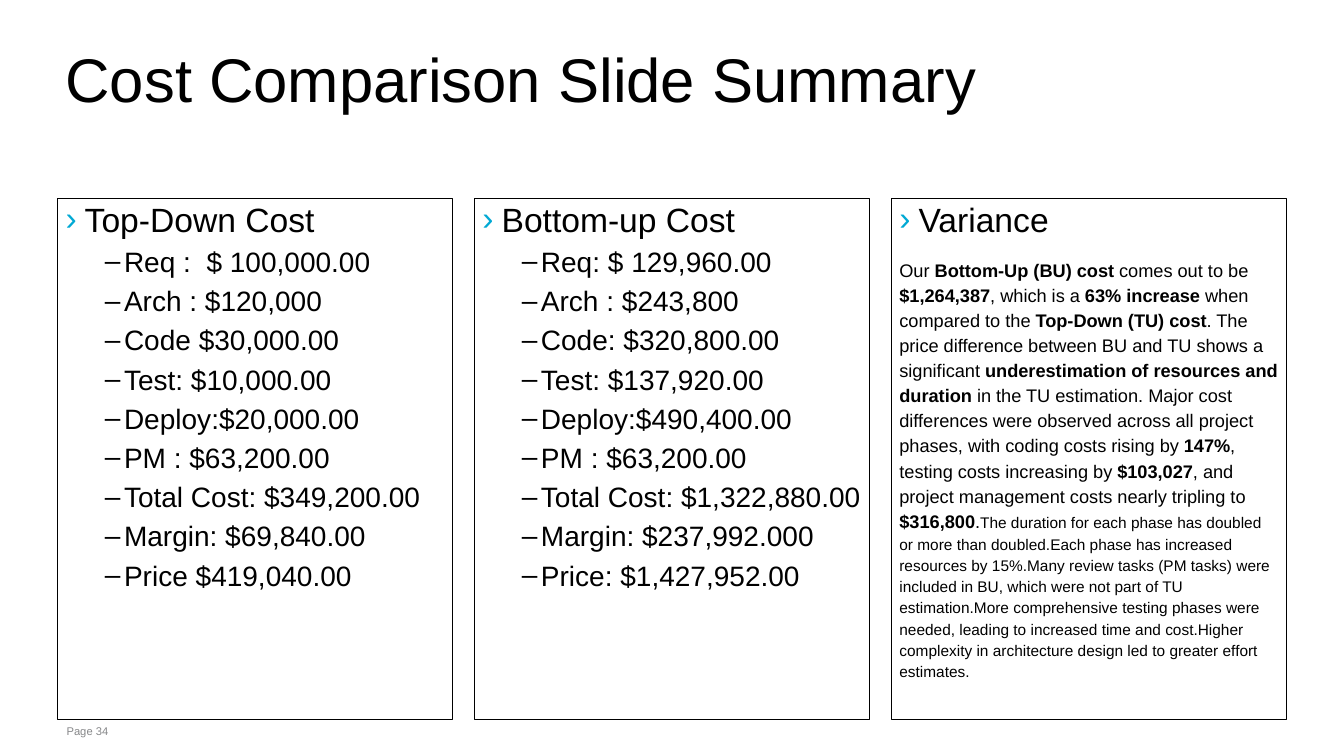
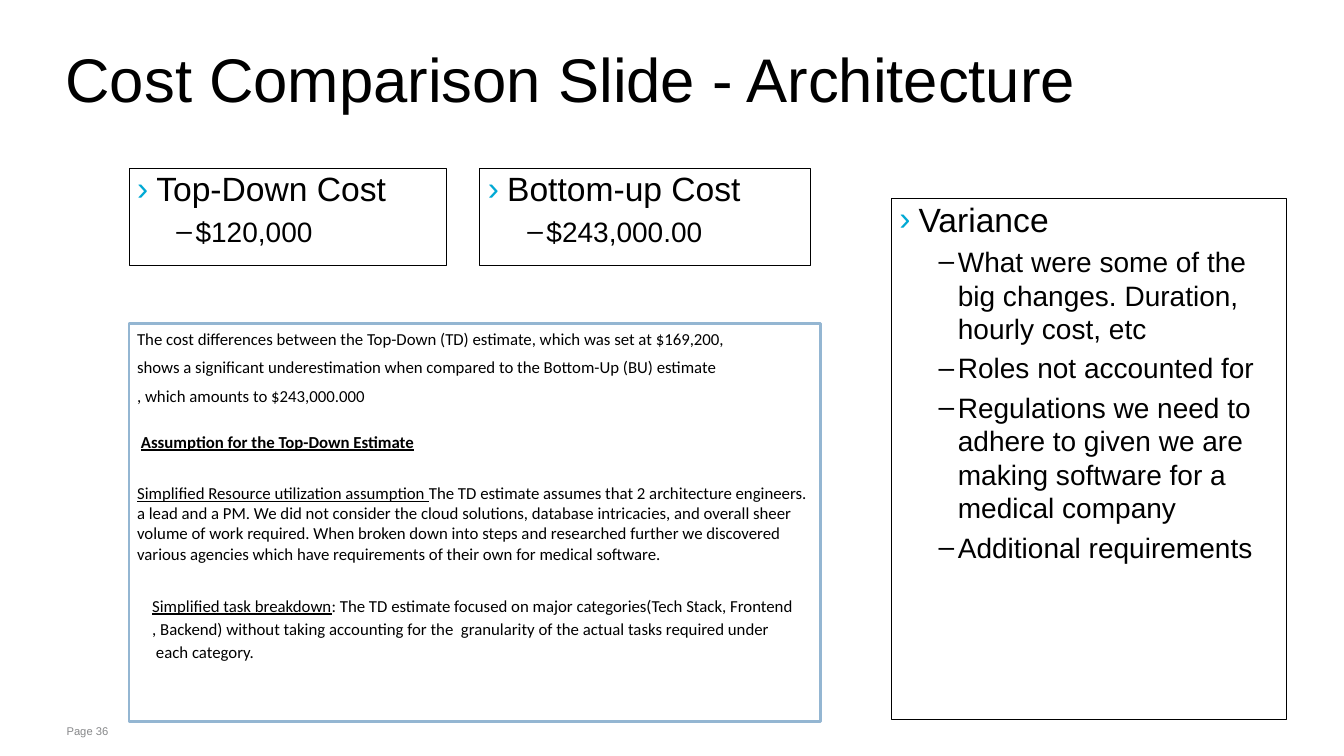
from dataclasses import dataclass
from typing import NamedTuple

from lxml import etree
from pptx import Presentation
from pptx.dml.color import RGBColor
from pptx.enum.shapes import MSO_SHAPE
from pptx.enum.text import MSO_ANCHOR, PP_ALIGN
from pptx.oxml.ns import qn
from pptx.util import Inches, Pt

RECTANGLE = MSO_SHAPE.RECTANGLE
TOP, MIDDLE = MSO_ANCHOR.TOP, MSO_ANCHOR.MIDDLE
LEFT = PP_ALIGN.LEFT


# Theme
@dataclass(frozen=True)
class Theme:
    text: str = "000000"
    accent: str = "00A9D4"
    footer: str = "87888A"
    paper: str = "FFFFFF"
    note_line: str = "94B6D2"
    font: str = "Arial"
    note_font: str = "Calibri"
    title_size: float = 44
    heading_size: float = 24
    item_size: float = 20
    variance_size: float = 13
    detail_size: float = 11
    note_size: float = 12
    footer_size: float = 8


THEME = Theme()


# Content types
class Area(NamedTuple):
    left: float
    top: float
    width: float
    height: float


class Piece(NamedTuple):
    text: str
    bold: bool = False
    underline: bool = False
    size: float | None = None


@dataclass(frozen=True)
class Bullet:
    mark: str
    color: str
    hanging: float = 0.19


@dataclass(frozen=True)
class Para:
    pieces: tuple[Piece, ...]
    size: float
    font: str = THEME.font
    color: str = THEME.text
    before: float = 0
    spacing: float = 1.0
    indent: float = 0
    level: int = 0
    bullet: Bullet | None = None


@dataclass(frozen=True)
class Panel:
    area: Area
    paras: list[Para]
    line: str = THEME.text
    line_width: float = 0.75
    fill: str | None = None
    inset: float = 0


@dataclass(frozen=True)
class Page:
    title: str
    number: int
    panels: list[Panel]


# Grid: three equal columns across the slide
SLIDE_WIDTH, SLIDE_HEIGHT = 13.33, 7.5
MARGIN, GUTTER, COLUMN_WIDTH = 0.57, 0.215, 3.92
BODY_TOP, BODY_HEIGHT = 1.97, 5.17
TITLE_AREA = Area(MARGIN, 0.26, 10.93, 1.19)
FOOTER_AREA = Area(0.58, BODY_TOP + BODY_HEIGHT, 10.79, 0.24)
SIDE_INSET = 0.08

# Architecture slide: two short panels above a note
INNER_LEFT, SHORT_TOP, SHORT_HEIGHT = 1.28, 1.67, 0.96
TOP_DOWN_AREA = Area(INNER_LEFT, SHORT_TOP, 3.15, SHORT_HEIGHT)
BOTTOM_UP_AREA = Area(4.76, SHORT_TOP, 3.28, SHORT_HEIGHT)
NOTE_AREA = Area(INNER_LEFT, 3.21, 6.86, 3.95)


def column(index: int) -> Area:
    left = MARGIN + index * (COLUMN_WIDTH + GUTTER)
    return Area(left, BODY_TOP, COLUMN_WIDTH, BODY_HEIGHT)


# Paragraph styles
def heading(text: str) -> Para:
    return Para((Piece(text),), THEME.heading_size, indent=0.19,
                bullet=Bullet("›", THEME.accent))


def item(text: str) -> Para:
    return Para((Piece(text),), THEME.item_size, before=4, indent=0.58, level=1,
                bullet=Bullet("–", THEME.text))


def bulleted(title: str, *items: str) -> list[Para]:
    return [heading(title), *map(item, items)]


def note(*pieces: Piece, before: float = 0, spacing: float = 1.0,
         indent: float = 0) -> Para:
    return Para(pieces, THEME.note_size, THEME.note_font,
                before=before, spacing=spacing, indent=indent)


def emphasised(marked: str) -> tuple[Piece, ...]:
    """Pieces between asterisks are bold."""
    return tuple(Piece(text, bold=i % 2 == 1) for i, text in enumerate(marked.split("*")))


# Drawing
def add_bullet(paragraph, bullet: Bullet) -> None:
    properties = paragraph._p.get_or_add_pPr()
    color = etree.SubElement(properties, qn("a:buClr"))
    etree.SubElement(color, qn("a:srgbClr"), val=bullet.color)
    etree.SubElement(properties, qn("a:buFont"), typeface=THEME.font)
    etree.SubElement(properties, qn("a:buChar"), char=bullet.mark)


def write(frame, paras: list[Para], inset: float = 0, anchor=TOP) -> None:
    frame.word_wrap = True
    frame.vertical_anchor = anchor
    frame.margin_left = frame.margin_right = Inches(SIDE_INSET)
    frame.margin_top = frame.margin_bottom = Inches(inset)
    for index, para in enumerate(paras):
        paragraph = frame.add_paragraph() if index else frame.paragraphs[0]
        paragraph.alignment = LEFT
        paragraph.level = para.level
        paragraph.space_before = Pt(para.before)
        paragraph.line_spacing = para.spacing
        hanging = para.bullet.hanging if para.bullet else 0
        properties = paragraph._p.get_or_add_pPr()
        properties.set("marL", str(Inches(para.indent)))
        properties.set("indent", str(-Inches(hanging)))
        if para.bullet:
            add_bullet(paragraph, para.bullet)
        for piece in para.pieces:
            run = paragraph.add_run()
            run.text = piece.text
            run.font.name = para.font
            run.font.size = Pt(piece.size or para.size)
            run.font.bold = piece.bold
            run.font.underline = piece.underline
            run.font.color.rgb = RGBColor.from_string(para.color)


def add_text(slide, area: Area, para: Para, inset: float = 0, anchor=TOP) -> None:
    box = slide.shapes.add_textbox(*map(Inches, area))
    write(box.text_frame, [para], inset, anchor)


def add_panel(slide, panel: Panel) -> None:
    shape = slide.shapes.add_shape(RECTANGLE, *map(Inches, panel.area))
    shape.shadow.inherit = False
    if panel.fill:
        shape.fill.solid()
        shape.fill.fore_color.rgb = RGBColor.from_string(panel.fill)
    else:
        shape.fill.background()
    shape.line.color.rgb = RGBColor.from_string(panel.line)
    shape.line.width = Pt(panel.line_width)
    write(shape.text_frame, panel.paras, panel.inset)


def add_page(deck, page: Page) -> None:
    slide = deck.slides.add_slide(deck.slide_layouts[6])
    slide.background.fill.solid()
    slide.background.fill.fore_color.rgb = RGBColor.from_string(THEME.paper)
    add_text(slide, TITLE_AREA,
             Para((Piece(page.title),), THEME.title_size, spacing=0.75), anchor=MIDDLE)
    for panel in page.panels:
        add_panel(slide, panel)
    add_text(slide, FOOTER_AREA,
             Para((Piece(f"Page {page.number}"),), THEME.footer_size, color=THEME.footer),
             inset=0.05)


# Content: summary
VARIANCE = Para(
    emphasised(
        "Our *Bottom-Up (BU) cost* comes out to be *$1,264,387*, which is a "
        "*63% increase* when compared to the *Top-Down (TU) cost*. The price "
        "difference between BU and TU shows a significant *underestimation of "
        "resources and duration* in the TU estimation. Major cost differences were "
        "observed across all project phases, with coding costs rising by *147%*, "
        "testing costs increasing by *$103,027*, and project management costs nearly "
        "tripling to *$316,800*."
    ) + (Piece(
        "The duration for each phase has doubled or more than doubled."
        "Each phase has increased resources by 15%."
        "Many review tasks (PM tasks) were included in BU, which were not part of "
        "TU estimation."
        "More comprehensive testing phases were needed, leading to increased time "
        "and cost."
        "Higher complexity in architecture design led to greater effort estimates.",
        size=THEME.detail_size),),
    THEME.variance_size, before=12, spacing=1.15)

SUMMARY = Page("Cost Comparison Slide Summary", 34, [
    Panel(column(0), bulleted(
        "Top-Down Cost", "Req :  $ 100,000.00", "Arch : $120,000", "Code $30,000.00",
        "Test: $10,000.00", "Deploy:$20,000.00", "PM : $63,200.00",
        "Total Cost: $349,200.00", "Margin: $69,840.00", "Price $419,040.00")),
    Panel(column(1), bulleted(
        "Bottom-up Cost", "Req: $ 129,960.00", "Arch : $243,800", "Code: $320,800.00",
        "Test: $137,920.00", "Deploy:$490,400.00", "PM : $63,200.00",
        "Total Cost: $1,322,880.00", "Margin: $237,992.000", "Price: $1,427,952.00")),
    Panel(column(2), [heading("Variance"), VARIANCE]),
])

# Content: architecture
ASSUMPTIONS = [
    note(Piece("The cost differences between the Top-Down (TD) estimate, which was "
               "set at $169,200,")),
    note(Piece("shows a significant underestimation when compared to the Bottom-Up "
               "(BU) estimate"), before=6),
    note(Piece(", which amounts to $243,000.000"), before=6),
    note(Piece(" "), Piece("Assumption for the Top-Down Estimate", True, True),
         before=16, spacing=1.15),
    note(Piece("Simplified Resource utilization assumption ", underline=True),
         Piece("The TD estimate assumes that 2 architecture engineers. a lead and a PM. "
               "We did not consider the cloud solutions, database intricacies, and "
               "overall sheer volume of work required. When broken down into steps and "
               "researched further we discovered various agencies which have "
               "requirements of their own for medical software."), before=22.5),
    note(Piece("Simplified task breakdown", underline=True),
         Piece(": The TD estimate focused on major categories(Tech Stack, Frontend"),
         before=20.5, spacing=1.15, indent=0.15),
    note(Piece(", Backend) without taking accounting for the  granularity of the actual "
               "tasks required under"), spacing=1.15, indent=0.15),
    note(Piece(" each category."), spacing=1.15, indent=0.15),
]

ARCHITECTURE = Page("Cost Comparison Slide - Architecture", 36, [
    Panel(column(2), bulleted(
        "Variance", "What were some of the big changes. Duration, hourly cost, etc",
        "Roles not accounted for",
        "Regulations we need to adhere to given we are making software for a medical "
        "company", "Additional requirements")),
    Panel(BOTTOM_UP_AREA, bulleted("Bottom-up Cost", "$243,000.00")),
    Panel(TOP_DOWN_AREA, bulleted("Top-Down Cost", "$120,000")),
    Panel(NOTE_AREA, ASSUMPTIONS, THEME.note_line, 2, THEME.paper, 0.05),
])


def main() -> None:
    deck = Presentation()
    deck.slide_width, deck.slide_height = Inches(SLIDE_WIDTH), Inches(SLIDE_HEIGHT)
    for page in (SUMMARY, ARCHITECTURE):
        add_page(deck, page)
    deck.save("out.pptx")


if __name__ == "__main__":
    main()
